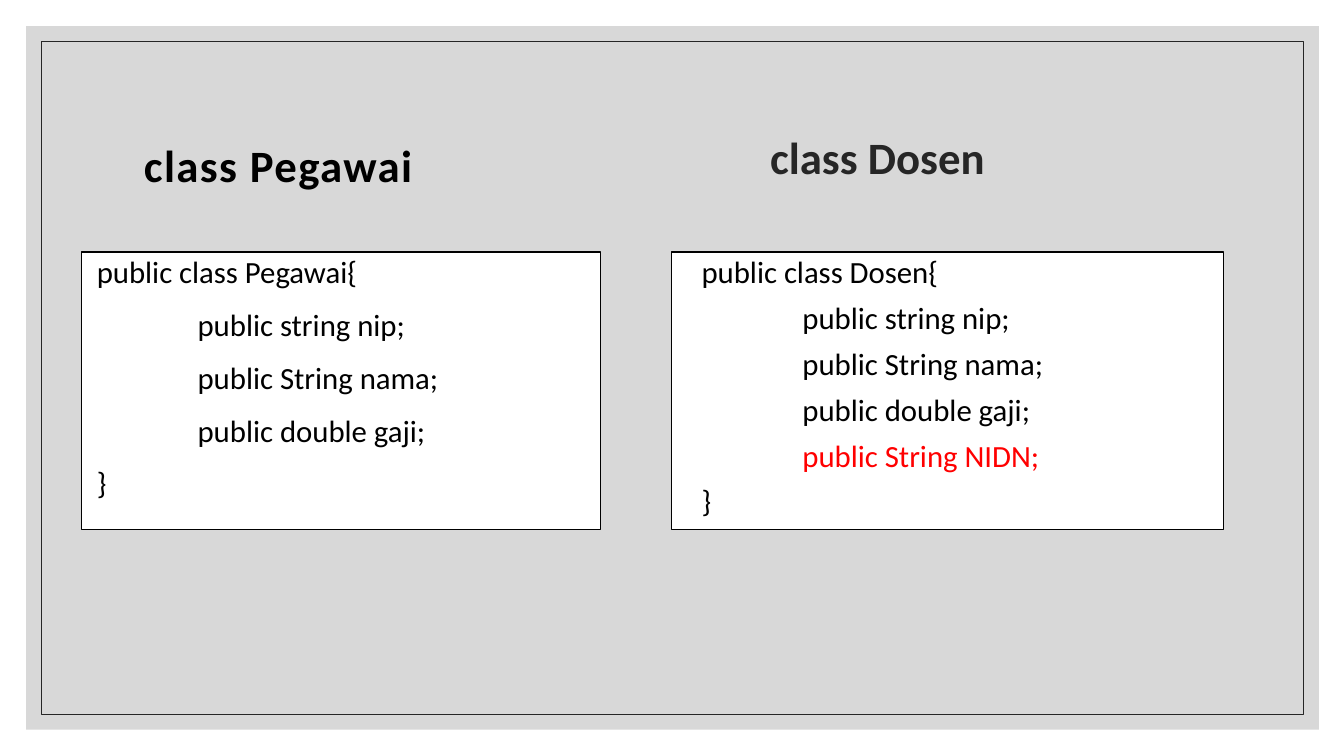
from dataclasses import dataclass

import pptx
import pptx.dml.color
import pptx.enum.shapes
import pptx.enum.text
import pptx.oxml.ns
import pptx.util
from lxml import etree

Inches = pptx.util.Inches
Pt = pptx.util.Pt


@dataclass(frozen=True)
class Theme:
    font: str = "Calibri"
    title_size: float = 32
    code_size: float = 22
    panel: str = "BFBFBF"
    paper: str = "FFFFFF"
    ink: str = "000000"
    soft_ink: str = "262626"
    accent: str = "FF0000"


THEME = Theme()


def rgb(value):
    return pptx.dml.color.RGBColor.from_string(value)


def add_rect(s, box, fill=None, opacity=None, line=None, weight=0.75):
    sp = s.shapes.add_shape(
        pptx.enum.shapes.MSO_SHAPE.RECTANGLE, *map(Inches, box))
    sp.shadow.inherit = False
    if fill:
        sp.fill.solid()
        sp.fill.fore_color.rgb = rgb(fill)
        if opacity:
            clr = sp.fill._xPr.find(".//" + pptx.oxml.ns.qn("a:srgbClr"))
            alpha = etree.SubElement(clr, pptx.oxml.ns.qn("a:alpha"))
            alpha.set("val", str(opacity * 1000))
    else:
        sp.fill.background()
    if line:
        sp.line.color.rgb = rgb(line)
        sp.line.width = Pt(weight)
    else:
        sp.line.fill.background()
    return sp


def write(p, text, size, color=THEME.ink, bold=False, spacing=None,
          line=0.9, before=0, after=0, indent=0):
    p.alignment = pptx.enum.text.PP_ALIGN.LEFT
    p.line_spacing = line
    p.space_before = Pt(before)
    p.space_after = Pt(after)
    p._p.get_or_add_pPr().set("marL", str(Inches(indent)))
    r = p.add_run()
    r.text = text
    r.font.name = THEME.font
    r.font.size = Pt(size)
    r.font.bold = bold
    r.font.color.rgb = rgb(color)
    if spacing:
        r._r.get_or_add_rPr().set("spc", str(spacing * 100))


def add_heading(s, box, text, **style):
    tf = s.shapes.add_textbox(*map(Inches, box)).text_frame
    tf.word_wrap = True
    tf.vertical_anchor = pptx.enum.text.MSO_ANCHOR.MIDDLE
    write(tf.paragraphs[0], text, THEME.title_size, bold=True, **style)


def add_class_box(s, box, name, fields, inset, indent, before, after=0,
                  highlight=None):
    tf = add_rect(s, box, fill=THEME.paper, line=THEME.ink).text_frame
    tf.word_wrap = True
    tf.vertical_anchor = pptx.enum.text.MSO_ANCHOR.TOP
    tf.margin_left = tf.margin_right = Inches(inset)
    tf.margin_top = tf.margin_bottom = Inches(0.05)
    lines = [f"public class {name}{{", *fields, "}"]
    for i, text in enumerate(lines):
        p = tf.paragraphs[0] if i == 0 else tf.add_paragraph()
        write(p, text, THEME.code_size,
              color=THEME.accent if text == highlight else THEME.ink,
              before=before if i else 0, after=after,
              indent=indent + (1 if text in fields else 0))


def main():
    prs = pptx.Presentation()
    prs.slide_width = Inches(13.33)
    prs.slide_height = Inches(7.5)
    s = prs.slides.add_slide(prs.slide_layouts[6])

    add_rect(s, (0.26, 0.26, 12.82, 6.98), fill=THEME.panel, opacity=60)
    add_rect(s, (0.41, 0.41, 12.52, 6.68), line=THEME.soft_ink, weight=0.5)

    fields = ["public string nip;", "public String nama;",
              "public double gaji;"]
    nidn = "public String NIDN;"
    add_heading(s, (7.54, 0.77, 2.94, 1.64), "class Dosen",
                color=THEME.soft_ink)
    add_class_box(s, (6.66, 2.5, 5.48, 2.75), "Dosen", fields + [nidn],
                  inset=0.1, indent=0.2, before=9, highlight=nidn)
    add_class_box(s, (0.81, 2.5, 5.15, 2.75), "Pegawai", fields,
                  inset=0.05, indent=0.1, before=12, after=2)
    add_heading(s, (1.33, 0.86, 10.63, 1.64), "class Pegawai",
                spacing=1, line=0.8)

    prs.save("out.pptx")


if __name__ == "__main__":
    main()
